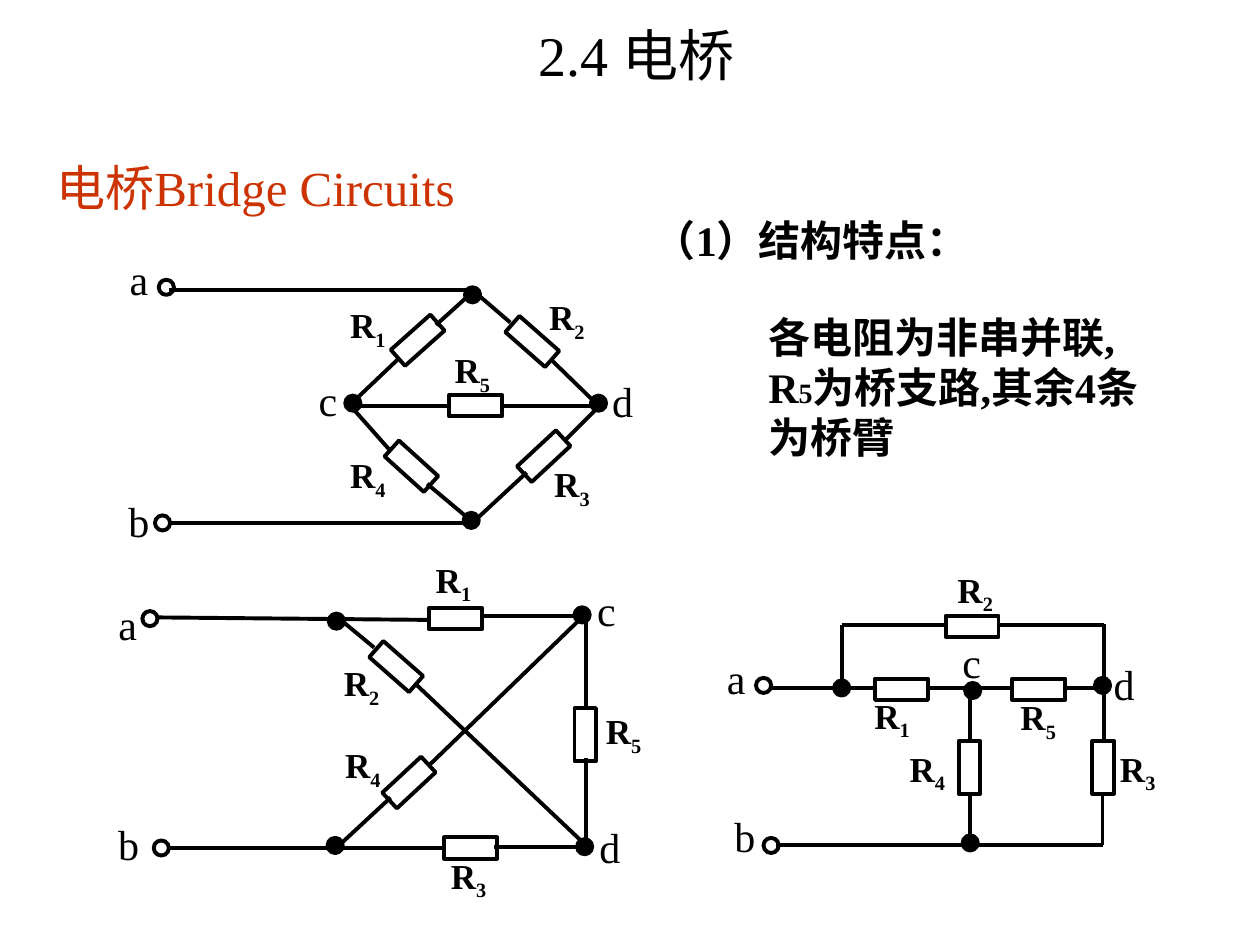
from pptx import Presentation
from pptx.dml.color import RGBColor
from pptx.enum.shapes import MSO_CONNECTOR, MSO_SHAPE
from pptx.enum.text import MSO_ANCHOR, PP_ALIGN
from pptx.oxml.ns import qn
from pptx.util import Inches, Pt
from lxml.etree import SubElement

COLORS = {"ink": "000000", "head": "CC3300"}
FONT = "Times New Roman"

# Each circuit: wires (x1, y1, x2, y2), resistors (left, top, angle),
# nodes and ends (left, top), names (text, left, top), tags (index, left, top)
DIAMOND = {
    "wires": [
        (3.46, 2.58, 3.77, 2.3), (4.05, 2.56, 3.76, 2.31),
        (3.16, 2.85, 2.76, 3.23), (4.37, 2.85, 4.76, 3.23),
        (2.79, 3.23, 3.1, 3.58), (3.39, 3.84, 3.76, 4.15),
        (3.76, 4.14, 4.18, 3.75), (4.49, 3.49, 4.76, 3.22),
        (2.76, 3.22, 3.56, 3.22), (3.98, 3.22, 4.76, 3.22),
        (1.34, 2.3, 3.76, 2.3), (1.33, 4.15, 3.75, 4.15)],
    "resistors": [(3.23, 2.49, 228.3), (4.14, 2.5, 311.3), (3.69, 3.01, 270),
                  (3.18, 3.49, 312.1), (4.23, 3.41, 227.1)],
    "nodes": [(3.69, 2.28), (3.68, 4.07), (2.74, 3.14), (4.69, 3.14)],
    "ends": [(1.26, 2.22), (1.23, 4.09)],
    "names": [("a", 0.93, 1.96), ("b", 0.92, 3.88),
              ("c", 2.43, 2.92), ("d", 4.76, 2.93)],
    "tags": [("1", 2.68, 2.36), ("2", 4.26, 2.3), ("3", 4.3, 3.62),
             ("4", 2.68, 3.55), ("5", 3.51, 2.72)],
}
CROSS = {
    "wires": [
        (2.97, 5.14, 2.68, 4.9), (3.3, 5.43, 4.63, 6.69),
        (2.68, 6.72, 3.1, 6.33), (3.41, 6.07, 4.65, 4.87),
        (1.24, 4.9, 3.39, 4.92), (3.81, 4.89, 4.64, 4.89),
        (1.33, 6.73, 3.52, 6.73), (3.92, 6.72, 4.67, 6.72),
        (4.65, 4.86, 4.65, 5.63), (4.65, 6.02, 4.65, 6.71)],
    "resistors": [(3.06, 5.08, 311.3), (3.53, 4.7, 270), (3.16, 6, 227.1),
                  (3.65, 6.52, 270), (4.56, 5.62, 0)],
    "nodes": [(2.61, 4.87), (2.6, 6.65), (4.56, 4.82), (4.58, 6.66)],
    "ends": [(1.13, 4.85), (1.22, 6.67)],
    "names": [("a", 0.84, 4.7), ("b", 0.84, 6.45),
              ("c", 4.64, 4.59), ("d", 4.66, 6.47)],
    "tags": [("1", 3.36, 4.38), ("2", 2.63, 5.2), ("3", 3.48, 6.73),
             ("4", 2.64, 5.85), ("5", 4.71, 5.58)],
}
LADDER = {
    "wires": [
        (6.11, 5.46, 6.95, 5.46), (7.36, 5.46, 8.03, 5.46),
        (8.45, 5.46, 8.78, 5.46), (6.68, 5.46, 6.68, 4.96),
        (6.68, 4.96, 7.51, 4.96), (7.93, 4.96, 8.76, 4.96),
        (7.7, 5.46, 7.7, 5.88), (7.7, 6.3, 7.7, 6.71),
        (8.76, 4.95, 8.76, 5.87), (8.75, 6.3, 8.75, 6.71),
        (6.16, 6.71, 8.75, 6.71)],
    "resistors": [(7.07, 5.26, 270), (8.16, 5.26, 270), (7.63, 4.76, 270),
                  (8.67, 5.88, 0), (7.61, 5.88, 0)],
    "nodes": [(6.62, 5.4), (7.66, 5.42), (7.64, 6.63), (8.69, 5.38)],
    "ends": [(6, 5.38), (6.06, 6.65)],
    "names": [("a", 5.67, 5.13), ("b", 5.73, 6.38),
              ("c", 7.54, 5), ("d", 8.74, 5.18)],
    "tags": [("1", 6.84, 5.46), ("2", 7.5, 4.46), ("3", 8.79, 5.88),
             ("4", 7.12, 5.88), ("5", 8, 5.47)],
}


class Board:
    """Holds the slide and its style; draws each kind of element."""

    def __init__(self, slide):
        self.slide = slide
        self.pen = Pt(2.25)

    def color(self, name):
        return RGBColor.from_string(COLORS[name])

    def run(self, para, text, size, color="ink", bold=False, sub=False):
        run = para.add_run()
        run.text = text
        font = run.font
        font.name, font.size, font.bold = FONT, Pt(size), bold
        font.color.rgb = self.color(color)
        if sub:
            font._element.set("baseline", "-25000")

    def place(self, shape, x, y, w, h):
        shape.left, shape.top = Inches(x), Inches(y)
        shape.width, shape.height = Inches(w), Inches(h)

    def title(self, text, size):
        shape = self.slide.shapes.title
        self.place(shape, 0.43, 0.18, 9.25, 0.5)
        shape.text_frame.vertical_anchor = MSO_ANCHOR.MIDDLE
        para = shape.text_frame.paragraphs[0]
        para.alignment = PP_ALIGN.CENTER
        self.run(para, text, size)

    def text(self, home, x, y, w, h, lines, wrap=False, anchor=MSO_ANCHOR.TOP):
        """Each line is a list of (text, size, further run options)."""
        box = home.shapes.add_textbox(Inches(x), Inches(y), Inches(w), Inches(h))
        frame = box.text_frame
        frame.word_wrap, frame.vertical_anchor = wrap, anchor
        for i, line in enumerate(lines):
            para = frame.add_paragraph() if i else frame.paragraphs[0]
            for text, size, opts in line:
                self.run(para, text, size, **opts)

    def wire(self, home, *ends):
        line = home.shapes.add_connector(
            MSO_CONNECTOR.STRAIGHT, *(Inches(v) for v in ends))
        line.line.color.rgb, line.line.width = self.color("ink"), self.pen
        SubElement(line._element.spPr, qn("a:effectLst"))

    def shape(self, home, kind, x, y, w, h, turn=0, solid=False):
        shape = home.shapes.add_shape(
            kind, Inches(x), Inches(y), Inches(w), Inches(h))
        shape.rotation = turn
        shape.shadow.inherit = False
        shape.line.color.rgb, shape.line.width = self.color("ink"), self.pen
        if solid:
            shape.fill.solid()
            shape.fill.fore_color.rgb = self.color("ink")
        else:
            shape.fill.background()

    def circuit(self, parts):
        group = self.slide.shapes.add_group_shape()
        for ends in parts["wires"]:
            self.wire(group, *ends)
        for x, y, turn in parts["resistors"]:
            self.shape(group, MSO_SHAPE.RECTANGLE, x, y, 0.17, 0.42, turn)
        for key in ("nodes", "ends"):
            for x, y in parts[key]:
                self.shape(group, MSO_SHAPE.OVAL, x, y, 0.12, 0.12,
                           solid=key == "nodes")
        for name, x, y in parts["names"]:
            width = 0.37 if name in "bd" else 0.35
            self.text(group, x, y, width, 0.5, [[(name, 24, {})]])
        for index, x, y in parts["tags"]:
            self.text(group, x, y, 0.49, 0.43, [[
                ("R", 20, {"bold": True}),
                (index, 20, {"bold": True, "sub": True})]])


def main():
    deck = Presentation()
    deck.slide_width, deck.slide_height = Inches(10), Inches(7.5)
    slide = deck.slides.add_slide(deck.slide_layouts[5])
    board = Board(slide)
    bold = {"bold": True}

    # Title and heading
    board.title("2.4 电桥", 32)
    board.text(slide, 0.35, 1.23, 9.25, 0.5,
               [[("电桥Bridge Circuits", 28, {"color": "head"})]],
               wrap=True, anchor=MSO_ANCHOR.MIDDLE)

    # Three drawings of the bridge
    for parts in (LADDER, DIAMOND, CROSS):
        board.circuit(parts)

    # Structure notes
    board.text(slide, 5.09, 1.65, 2.71, 0.5, [[("（1）结构特点：", 24, bold)]])
    board.text(slide, 6, 2.42, 3.5, 1.7, [
        [("各电阻为非串并联,", 24, bold)],
        [("R", 24, bold), ("5", 16, bold), ("为桥支路,其余4条", 24, bold)],
        [("为桥臂", 24, bold)]], wrap=True)

    deck.save("out.pptx")


if __name__ == "__main__":
    main()
